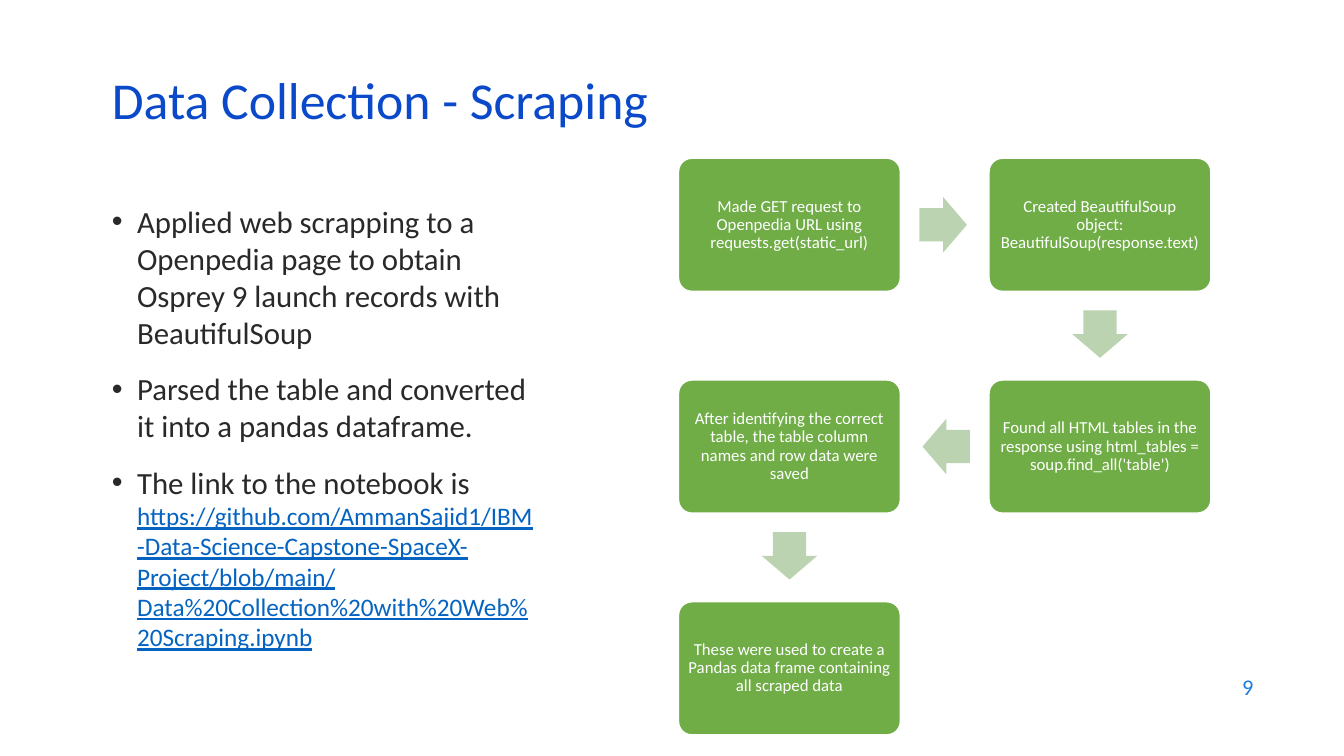
import math
from itertools import pairwise

from lxml import etree
from pptx import Presentation
from pptx import util as u
from pptx.dml.color import RGBColor
from pptx.enum import shapes, text
from pptx.oxml import ns

FONT = "Calibri"
INK = "292929"
CARD_WIDTH, CARD_HEIGHT = 2.2, 1.32
ARROW_WIDTH, ARROW_HEIGHT = 0.47, 0.55
ARROW_PULLBACK = 0.015
NOTEBOOK_URL = (
    "https://github.com/AmmanSajid1/IBM-Data-Science-Capstone-SpaceX-Project"
    "/blob/main/Data%20Collection%20with%20Web%20Scraping.ipynb"
)
BULLETS = [
    [("Applied web scrapping to\u00a0a Openpedia page to obtain "
      "Osprey 9 launch records with BeautifulSoup", 22, INK, False)],
    [("Parsed the table and converted it into a pandas dataframe.", 22, INK, False)],
    [("The link to the notebook is ", 22, INK, False),
     (NOTEBOOK_URL, 18, "0563C1", True)],
]
STEPS = [
    (0, 0, "Made GET request to Openpedia URL using requests.get(static_url)"),
    (1, 0, "Created BeautifulSoup object: BeautifulSoup(response.text)"),
    (1, 1, "Found all HTML tables in the response using "
           "html_tables = soup.find_all('table')"),
    (0, 1, "After identifying the correct table, the table column names "
           "and row data were saved"),
    (0, 2, "These\u00a0were used to create a Pandas data frame "
           "containing all scraped data"),
]


def color(value):
    return RGBColor.from_string(value)


def box(left, top, width, height):
    return [u.Inches(length) for length in (left, top, width, height)]


def place(shape, left, top, width, height):
    shape.left, shape.top, shape.width, shape.height = box(left, top, width, height)


def set_frame(shape, anchor, inset=None):
    frame = shape.text_frame
    frame.word_wrap = True
    frame.auto_size = text.MSO_AUTO_SIZE.NONE
    frame.vertical_anchor = anchor
    if inset is not None:
        frame.margin_left = frame.margin_right = u.Inches(inset)
        frame.margin_top = frame.margin_bottom = u.Inches(inset)
    return frame


def add_run(paragraph, words, size, value, underline=False):
    run = paragraph.add_run()
    run.text = words
    run.font.name = FONT
    run.font.size = u.Pt(size)
    run.font.color.rgb = color(value)
    run.font.underline = underline


def add_bullet(paragraph):
    properties = paragraph._p.get_or_add_pPr()
    properties.set("marL", str(u.Inches(0.25)))
    properties.set("indent", str(u.Inches(-0.25)))
    etree.SubElement(properties, ns.qn("a:buFont")).set("typeface", "Arial")
    etree.SubElement(properties, ns.qn("a:buChar")).set("char", "•")


def write_title(slide):
    title = slide.shapes.title
    place(title, 1.01, 0.76, 11.5, 0.6)
    paragraph = set_frame(title, text.MSO_ANCHOR.MIDDLE).paragraphs[0]
    paragraph.alignment = text.PP_ALIGN.LEFT
    paragraph.line_spacing = 0.7
    add_run(paragraph, "Data Collection - Scraping", 37, "0B49CB")


def write_body(slide):
    body = slide.placeholders[1]
    place(body, 1.01, 1.96, 4.4, 4.96)
    frame = set_frame(body, text.MSO_ANCHOR.TOP)
    for index, runs in enumerate(BULLETS):
        paragraph = frame.add_paragraph() if index else frame.paragraphs[0]
        add_bullet(paragraph)
        paragraph.space_before = u.Pt(14 if index else 0)
        for run in runs:
            add_run(paragraph, *run)


def write_page_number(slide):
    number = slide.shapes.add_textbox(*box(9.53, 6.59, 3, 0.44))
    paragraph = set_frame(number, text.MSO_ANCHOR.MIDDLE).paragraphs[0]
    paragraph.alignment = text.PP_ALIGN.RIGHT
    add_run(paragraph, "9", 16, "1C7DDB")


def add_filled(slide, kind, bounds, fill, adjustments):
    shape = slide.shapes.add_shape(kind, *box(*bounds))
    shape.shadow.inherit = False
    shape.fill.solid()
    shape.fill.fore_color.rgb = color(fill)
    for index, value in enumerate(adjustments):
        shape.adjustments[index] = value
    return shape


def step_center(column, row):
    return 7.83 + 3.08 * column, 2.23 + 2.2 * row


def add_step(slide, column, row, words):
    x, y = step_center(column, row)
    bounds = x - CARD_WIDTH / 2, y - CARD_HEIGHT / 2, CARD_WIDTH, CARD_HEIGHT
    card = add_filled(slide, shapes.MSO_SHAPE.ROUNDED_RECTANGLE, bounds, "70AD47", [0.1])
    card.line.color.rgb = color("FFFFFF")
    card.line.width = u.Pt(1)
    paragraph = set_frame(card, text.MSO_ANCHOR.MIDDLE, 0.05).paragraphs[0]
    paragraph.alignment = text.PP_ALIGN.CENTER
    paragraph.line_spacing = 0.9
    add_run(paragraph, words, 12, "FFFFFF")


def add_step_arrow(slide, start, end):
    (x1, y1), (x2, y2) = step_center(*start), step_center(*end)
    angle = math.atan2(y2 - y1, x2 - x1)
    x = (x1 + x2) / 2 - ARROW_PULLBACK * math.cos(angle)
    y = (y1 + y2) / 2 - ARROW_PULLBACK * math.sin(angle)
    bounds = x - ARROW_WIDTH / 2, y - ARROW_HEIGHT / 2, ARROW_WIDTH, ARROW_HEIGHT
    arrow = add_filled(slide, shapes.MSO_SHAPE.RIGHT_ARROW, bounds, "BBD3B1", [0.6, 0.5])
    arrow.line.fill.background()
    arrow.rotation = round(math.degrees(angle))


def main():
    presentation = Presentation()
    presentation.slide_width = u.Inches(13.33)
    presentation.slide_height = u.Inches(7.5)
    slide = presentation.slides.add_slide(presentation.slide_layouts[1])
    write_title(slide)
    write_body(slide)
    write_page_number(slide)
    for step in STEPS:
        add_step(slide, *step)
    for start, end in pairwise(STEPS):
        add_step_arrow(slide, start[:2], end[:2])
    presentation.save("out.pptx")


if __name__ == "__main__":
    main()
